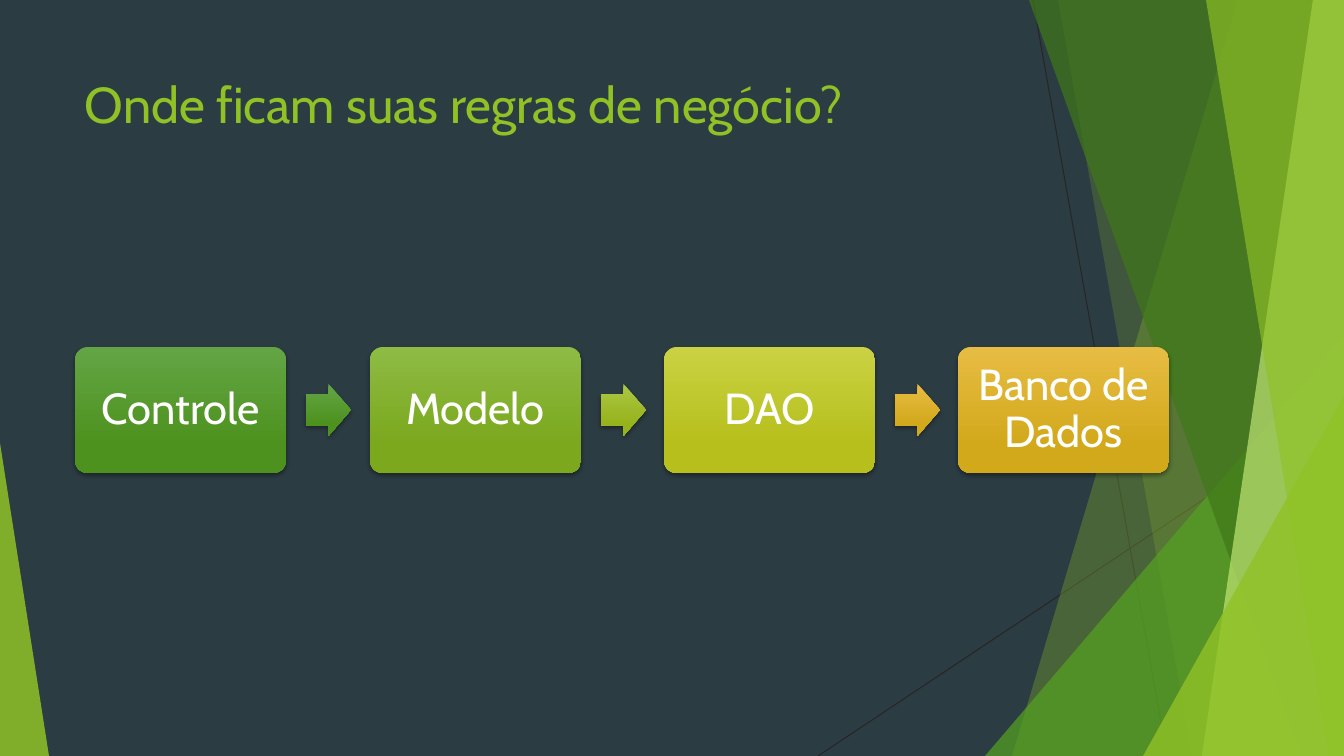
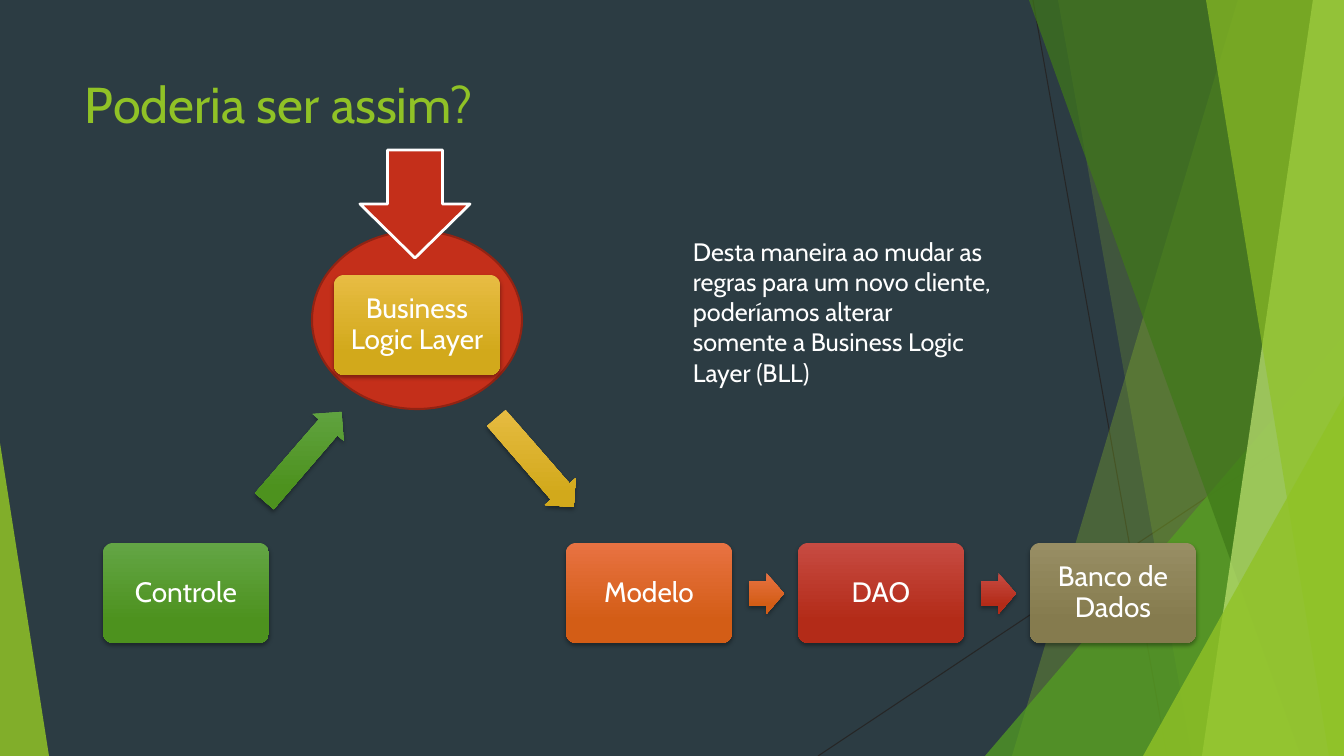
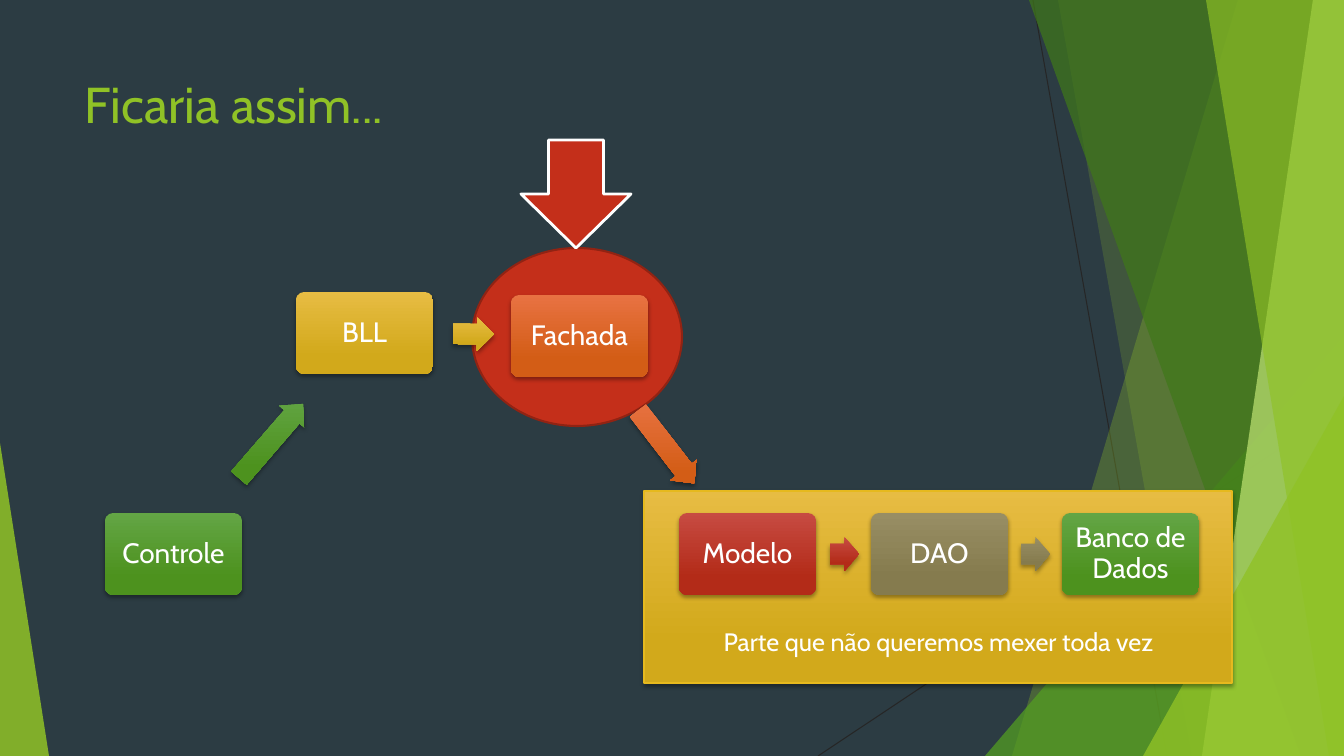
import pptx
import pptx.util
import pptx.dml.color
import pptx.enum.shapes
import pptx.enum.text
import pptx.oxml
import pptx.oxml.ns

PX = 914400 / 100.8
W, H = 1344, 756
FONT = "Cabin"
C = {
    "background": "2C3C43", "white": "FFFFFF", "hairline": "262626",
    "accent": "90C226", "leaf": "54A021", "forest": "3F7819", "pale": "C0E474",
    "alert": "C42F1A", "alert_edge": "912313", "panel_edge": "E6B91E",
    "green_top": "63A545", "green_base": "4D921E",
    "olive_top": "8EBB44", "olive_base": "7BA81D",
    "lime_top": "AAC744", "lime_base": "97B31C",
    "yellow_top": "CAD243", "yellow_base": "B6BF1B",
    "gold_top": "E7BC43", "gold_base": "D2A91B",
    "orange_top": "E87242", "orange_base": "D35D16",
    "red_top": "C74B42", "red_base": "B32B18",
    "taupe_top": "988E64", "taupe_base": "857B4E",
}
RGB = {name: pptx.dml.color.RGBColor.from_string(value) for name, value in C.items()}
MSO = pptx.enum.shapes.MSO_SHAPE
ALIGN = pptx.enum.text.PP_ALIGN
ANCHOR = pptx.enum.text.MSO_ANCHOR
NS = pptx.oxml.ns.nsdecls("a")
SHADOW = pptx.oxml.parse_xml(
    f'<a:effectLst {NS}><a:outerShdw blurRad="38100" dist="25400" dir="5400000" '
    'rotWithShape="0"><a:srgbClr val="000000"><a:alpha val="35000"/></a:srgbClr>'
    '</a:outerShdw></a:effectLst>')


def paint(sp, fill, line=None, width=1, alpha=100):
    """Fill a shape flat, or glossy with a shadow if the colour has two tones."""
    sp.shadow.inherit = False
    if fill in C:
        sp.fill.solid()
        sp.fill.fore_color.rgb = RGB[fill]
        if alpha < 100:
            tone = sp._element.spPr.find(".//" + pptx.oxml.ns.qn("a:srgbClr"))
            tone.append(pptx.oxml.parse_xml(f'<a:alpha {NS} val="{alpha * 1000}"/>'))
    else:
        sp.fill.gradient()
        sp.fill.gradient_angle = 270
        for stop, position, tone in zip(sp.fill.gradient_stops, (0, 0.78), ("top", "base")):
            stop.position = position
            stop.color.rgb = RGB[f"{fill}_{tone}"]
        spPr = sp._element.spPr
        spPr.find(pptx.oxml.ns.qn("a:gradFill")).set("rotWithShape", "0")
        effects = spPr.find(pptx.oxml.ns.qn("a:effectLst"))
        effects.append(pptx.oxml.parse_xml(pptx.oxml.xmlchemy.serialize_for_reading(SHADOW[0])))
    if line:
        sp.line.color.rgb = RGB[line]
        sp.line.width = pptx.util.Pt(width)
    else:
        sp.line.fill.background()


def write(tf, text, size, color="white", align=ALIGN.LEFT, anchor=ANCHOR.TOP):
    """Write one paragraph, breaking lines at newlines, and return it."""
    tf.word_wrap = True
    tf.vertical_anchor = anchor
    p = tf.paragraphs[0]
    p.alignment = align
    for i, part in enumerate(text.split("\n")):
        if i:
            p.add_line_break()
        r = p.add_run()
        r.text = part
        r.font.name = FONT
        r.font.size = pptx.util.Pt(size)
        r.font.color.rgb = RGB[color]
    return p


prs = pptx.Presentation()
prs.slide_width, prs.slide_height = round(W * PX), round(H * PX)

# Shared backdrop and title
hairlines = [(1033, 0, 1167, H), (W, 406, 818, H)]
# Bands run from a top x to a bottom x and on to the right edge;
# triangles have a box and the place of their tip.
backdrop = [
    ("band", (1238, 1012), "accent", 30),
    ("band", (1058, 1192), "accent", 20),
    ("triangle", (985, 336, 359, 420, 1), "leaf", 72),
    ("band", (1029, 1301), "forest", 70),
    ("band", (1313, 1202), "pale", 70),
    ("band", (1206, 1329), "accent", 65),
    ("triangle", (1143, 396, 201, 360, 1), "accent", 80),
    ("triangle", (0, 443, 49, 313, 0), "accent", 85),
]
titles = ["Onde ficam suas regras de negócio?", "Poderia ser assim?", "Ficaria assim..."]
slides = []
for title in titles:
    s = prs.slides.add_slide(prs.slide_layouts[6])
    slides.append(s)
    s.background.fill.solid()
    s.background.fill.fore_color.rgb = RGB["background"]
    for ends in hairlines:
        line = s.shapes.add_connector(pptx.enum.shapes.MSO_CONNECTOR.STRAIGHT,
                                      *(round(v * PX) for v in ends))
        line.line.color.rgb = RGB["hairline"]
        line.line.width = pptx.util.Pt(0.75)
        line._element.spPr.append(pptx.oxml.parse_xml(f"<a:effectLst {NS}/>"))
    for kind, place, color, alpha in backdrop:
        if kind == "band":
            top, bottom = place
            outline = s.shapes.build_freeform(top, 0, scale=PX)
            outline.add_line_segments([(W, 0), (W, H), (bottom, H)], close=True)
            sp = outline.convert_to_shape()
        else:
            *box, tip = place
            sp = s.shapes.add_shape(MSO.ISOSCELES_TRIANGLE, *(round(v * PX) for v in box))
            sp.adjustments[0] = tip
        paint(sp, color, alpha=alpha)
    tb = s.shapes.add_textbox(*(round(v * PX) for v in (75, 68, 948, 145)))
    write(tb.text_frame, title, 36, "accent")

flow, layered, facade = slides

# Panel and highlight circles behind the boxes
for s, kind, box, fill, edge, width in [
    (facade, MSO.RECTANGLE, (644, 491, 588, 192), "gold", "panel_edge", 1),
    (layered, MSO.OVAL, (312, 231, 210, 178), "alert", "alert_edge", 1.5),
    (facade, MSO.OVAL, (472, 248, 210, 178), "alert", "alert_edge", 1.5),
]:
    sp = s.shapes.add_shape(kind, *(round(v * PX) for v in box))
    paint(sp, fill, edge, width)

# Boxes: one size per slide
box_styles = [
    (flow, 211, 126, 31, 16, [
        ("Controle", 75, 347, "green"),
        ("Modelo", 370, 347, "olive"),
        ("DAO", 664, 347, "yellow"),
        ("Banco de Dados", 958, 347, "gold")]),
    (layered, 166, 100, 20, 11, [
        ("Controle", 103, 543, "green"),
        ("Business Logic Layer", 334, 275, "gold"),
        ("Modelo", 566, 543, "orange"),
        ("DAO", 798, 543, "red"),
        ("Banco de Dados", 1030, 543, "taupe")]),
    (facade, 137, 82, 20, 10, [
        ("Controle", 105, 513, "green"),
        ("BLL", 296, 292, "gold"),
        ("Fachada", 511, 295, "orange"),
        ("Modelo", 679, 513, "red"),
        ("DAO", 871, 513, "taupe"),
        ("Banco de Dados", 1062, 513, "green")]),
]
for s, w, h, size, inset, boxes in box_styles:
    for label, x, y, color in boxes:
        sp = s.shapes.add_shape(MSO.ROUNDED_RECTANGLE, *(round(v * PX) for v in (x, y, w, h)))
        sp.adjustments[0] = 0.1
        paint(sp, color)
        tf = sp.text_frame
        tf.margin_left = tf.margin_right = tf.margin_top = tf.margin_bottom = round(inset * PX)
        p = write(tf, label, size, align=ALIGN.CENTER, anchor=ANCHOR.MIDDLE)
        p.line_spacing = 0.9

# Arrows between the boxes
for s, box, turn, color in [
    (flow, (306, 384, 45, 52), 0, "green"),
    (flow, (601, 384, 45, 52), 0, "lime"),
    (flow, (895, 384, 45, 52), 0, "gold"),
    (layered, (244, 436, 118, 41), 310.8, "green"),
    (layered, (476, 442, 118, 41), 49, "gold"),
    (layered, (749, 573, 35, 41), 0, "orange"),
    (layered, (981, 573, 35, 41), 0, "red"),
    (facade, (222, 424, 98, 34), 310.8, "green"),
    (facade, (453, 317, 41, 34), 0.7, "gold"),
    (facade, (620, 430, 92, 34), 52.3, "orange"),
    (facade, (830, 537, 29, 34), 0, "red"),
    (facade, (1021, 537, 29, 34), 0, "taupe"),
]:
    sp = s.shapes.add_shape(MSO.RIGHT_ARROW, *(round(v * PX) for v in box))
    sp.adjustments[0], sp.adjustments[1] = 0.6, 0.5
    sp.rotation = turn
    paint(sp, color)

# Large arrows pointing down at the circles
for s, x, y in [(layered, 361, 149), (facade, 522, 139)]:
    sp = s.shapes.add_shape(MSO.RIGHT_ARROW, *(round(v * PX) for v in (x, y, 108, 110)))
    sp.rotation = 90
    paint(sp, "alert", "white", 2)

# Remarks
for s, box, text, align in [
    (layered, (683, 231, 350, 163),
     "Desta maneira ao mudar as regras para um novo cliente, poderíamos alterar\n"
     "somente a Business Logic Layer (BLL)", ALIGN.LEFT),
    (facade, (681, 621, 515, 40), "Parte que não queremos mexer toda vez", ALIGN.CENTER),
]:
    tb = s.shapes.add_textbox(*(round(v * PX) for v in box))
    write(tb.text_frame, text, 18, align=align)

prs.save("out.pptx")
